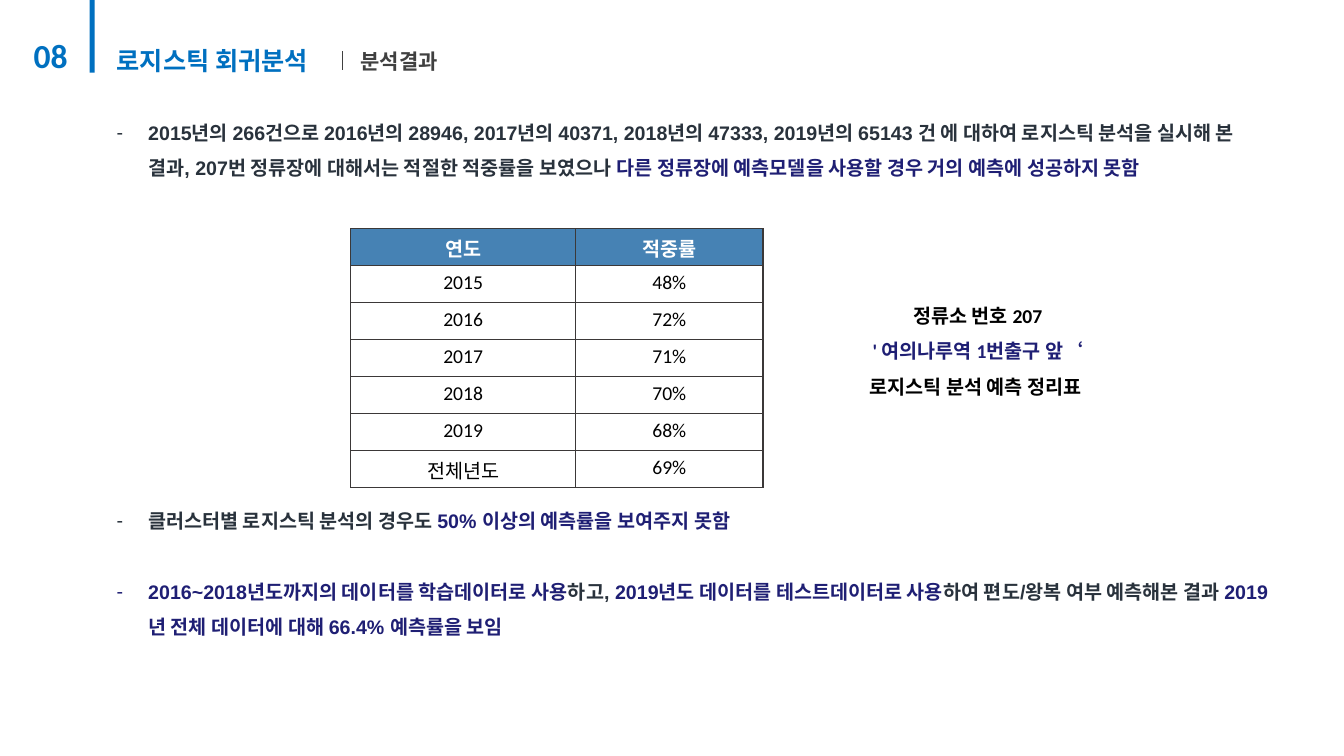
from lxml.etree import SubElement
from pptx import Presentation
from pptx.dml.color import RGBColor
from pptx.enum.shapes import MSO_CONNECTOR, MSO_SHAPE
from pptx.enum.text import PP_ALIGN
from pptx.oxml.ns import qn
from pptx.util import Pt

BLUE = RGBColor(0x00, 0x70, 0xC0)
STEEL = RGBColor(0x46, 0x82, 0xB4)
NAVY = RGBColor(0x1F, 0x1F, 0x74)
SLATE = RGBColor(0x29, 0x32, 0x3C)
GREY = RGBColor(0x40, 0x40, 0x40)
EDGE = RGBColor(0x3B, 0x38, 0x38)
BLACK = RGBColor(0, 0, 0)
WHITE = RGBColor(255, 255, 255)

RATES = [
    ("연도", "적중률"),
    ("2015", "48%"),
    ("2016", "72%"),
    ("2017", "71%"),
    ("2018", "70%"),
    ("2019", "68%"),
    ("전체년도", "69%"),
]
POINTS = [
    (0, [
        ("2015년의 266건으로 2016년의 28946, 2017년의 40371, 2018년의 47333, "
         "2019년의 65143 건 에 대하여 로지스틱 분석을 실시해 본 결과, "
         "207번 정류장에 대해서는 적절한 적중률을 보였으나 ", SLATE),
        ("다른 정류장에 예측모델을 사용할 경우 거의 예측에 성공하지 못함", NAVY),
    ]),
    (227, [
        ("클러스터별 로지스틱 분석의 경우도 ", SLATE),
        ("50% 이상의 예측률을 보여주지 못함", NAVY),
    ]),
    (25.4, [
        ("2016~2018년도까지의 데이터를 학습데이터로 사용", NAVY),
        ("하고, ", SLATE),
        ("2019년도 데이터를 테스트데이터로 사용", NAVY),
        ("하여 편도/왕복 여부 예측해본 결과 ", SLATE),
        ("2019년 전체 데이터에 대해 66.4% 예측률을 보임", NAVY),
    ]),
]
CAPTION = [
    (0, [("정류소 번호 207", BLACK)]),
    (0, [("' 여의나루역 1번출구 앞‘", NAVY)]),
    (0, [("로지스틱 분석 예측 정리표 ", BLACK)]),
]


def style(run, size, color, bold=True, face="Calibri"):
    font = run.font
    font.size = Pt(size)
    font.name = face
    font.bold = bold
    font.color.rgb = color


def add_dash(para):
    props = para._p.get_or_add_pPr()
    props.set("marL", str(Pt(22.5)))
    props.set("indent", str(-Pt(22.5)))
    SubElement(props, qn("a:buFont"), typeface="Arial")
    SubElement(props, qn("a:buChar"), char="-")


def add_box(slide, box):
    frame = slide.shapes.add_textbox(*map(Pt, box)).text_frame
    frame.word_wrap = True
    return frame


def add_label(slide, box, text, size, color, align=PP_ALIGN.LEFT):
    frame = add_box(slide, box)
    frame.text = text
    para = frame.paragraphs[0]
    para.alignment = align
    style(para.runs[0], size, color)


def add_text(slide, box, items, face, align, dash=False):
    frame = add_box(slide, box)
    for i, (gap, parts) in enumerate(items):
        para = frame.add_paragraph() if i else frame.paragraphs[0]
        para.alignment = align
        para.line_spacing = 1.5
        para.space_before = Pt(gap)
        if dash:
            add_dash(para)
        for text, color in parts:
            run = para.add_run()
            run.text = text
            style(run, 14, color, face=face)


def add_edges(cell):
    props = cell._tc.get_or_add_tcPr()
    for i, side in enumerate(("lnL", "lnR", "lnT", "lnB")):
        line = props.makeelement(qn(f"a:{side}"), {"w": str(Pt(1))})
        fill = SubElement(line, qn("a:solidFill"))
        SubElement(fill, qn("a:srgbClr"), val=str(EDGE))
        props.insert(i, line)


def add_rates(slide, box):
    shape = slide.shapes.add_table(len(RATES), 2, *map(Pt, box))
    table = shape.table
    for col, width in zip(table.columns, (160.7, 133.8)):
        col.width = Pt(width)
    for r, row in enumerate(RATES):
        for c, text in enumerate(row):
            cell = table.cell(r, c)
            cell.text = text
            para = cell.text_frame.paragraphs[0]
            para.alignment = PP_ALIGN.CENTER
            head = r == 0
            style(para.runs[0], 14, WHITE if head else BLACK, head)
            if head:
                cell.fill.solid()
                cell.fill.fore_color.rgb = STEEL
            else:
                cell.fill.background()
            add_edges(cell)


def add_bar(slide, box):
    bar = slide.shapes.add_shape(MSO_SHAPE.RECTANGLE, *map(Pt, box))
    bar.shadow.inherit = False
    bar.fill.solid()
    bar.fill.fore_color.rgb = BLUE
    bar.line.fill.background()


def add_rule(slide, ends):
    rule = slide.shapes.add_connector(MSO_CONNECTOR.STRAIGHT, *map(Pt, ends))
    rule.line.color.rgb = GREY
    rule.line.width = Pt(0.5)
    SubElement(rule._element.spPr, qn("a:effectLst"))


def main():
    deck = Presentation()
    deck.slide_width = Pt(960)
    deck.slide_height = Pt(540)
    slide = deck.slides.add_slide(deck.slide_layouts[6])

    add_text(slide, (76.3, 74.2, 839.5, 440), POINTS, "Arial", PP_ALIGN.LEFT, True)
    add_rates(slide, (250.5, 163.4, 294.5, 185))
    add_text(slide, (603.4, 205.2, 190, 83.5), CAPTION, "Calibri", PP_ALIGN.CENTER)
    add_label(slide, (250.5, 31, 193.7, 25.2), "분석결과", 15, GREY)
    add_rule(slide, (244.8, 36.7, 244.8, 49.7))
    add_bar(slide, (64.1, 0, 3.6, 52))
    add_label(slide, (5, 21.6, 62.6, 36), "08", 24, BLUE, PP_ALIGN.CENTER)
    add_label(slide, (76.3, 28.8, 195.8, 28.8), "로지스틱 회귀분석", 18, BLUE)

    deck.save("out.pptx")


if __name__ == "__main__":
    main()
